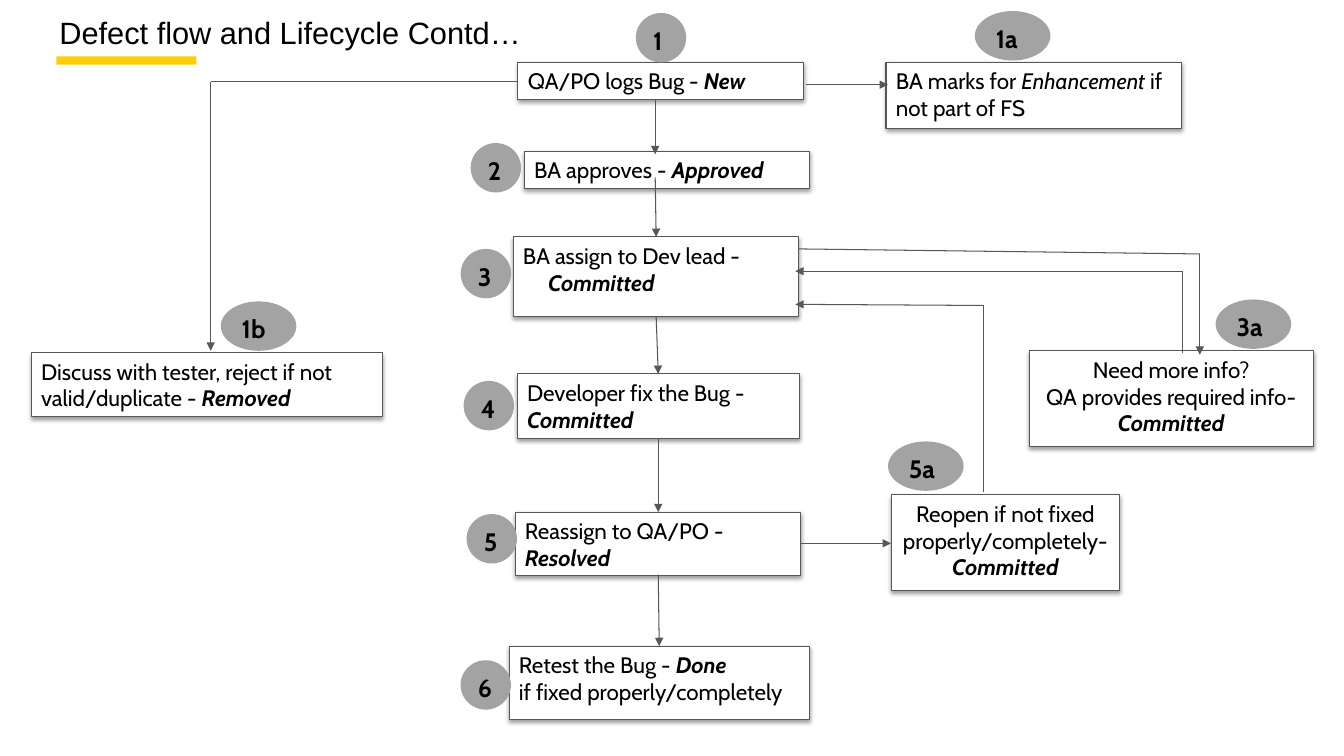
import pptx
import pptx.util
import pptx.dml.color
import pptx.enum.shapes
import pptx.enum.text
import pptx.oxml
import pptx.oxml.ns

Pt = pptx.util.Pt
SHAPE = pptx.enum.shapes.MSO_SHAPE
ALIGN = pptx.enum.text.PP_ALIGN
NS = pptx.oxml.ns.nsdecls("a")

COLORS = {"text": "000000", "box": "FFFFFF", "line": "575757", "badge": "A3A3A3", "accent": "FBCE07"}

FORMATS = {
    "title": {"name": "Arial", "size": Pt(22)},
    "badge": {"name": "Cabin", "size": Pt(18), "bold": True},
    "plain": {"name": "Cabin", "size": Pt(16)},
    "italic": {"name": "Cabin", "size": Pt(16), "italic": True},
    "status": {"name": "Cabin", "size": Pt(16), "bold": True, "italic": True},
}

BADGE_H = 35.3
BADGE_W = {1: 36, 2: 54}

STEPS = [
    ("1", (370, 44.6, 203.8, 26.6), (84.2, -35.3), ALIGN.LEFT, 0,
     [[("QA/PO logs Bug - ", "plain"), ("New", "status")]]),
    ("1a", (632.9, 44.6, 211, 47.5), (63.4, -36.7), ALIGN.LEFT, 0,
     [[("BA marks for ", "plain"), ("Enhancement", "italic"), (" if not part of FS", "plain")]]),
    ("1b", (22.3, 252, 250.6, 45.4), (135.4, -36.7), ALIGN.LEFT, 0,
     [[("Discuss with tester, reject if not valid/duplicate - ", "plain"), ("Removed", "status")]]),
    ("2", (374.4, 108, 203.8, 26.6), (-38.2, -5.8), ALIGN.LEFT, 0,
     [[("BA approves - ", "plain"), ("Approved", "status")]]),
    ("3", (366.5, 169.2, 203.8, 56.9), (-37.4, 8.6), ALIGN.LEFT, 18,
     [[("BA assign to Dev lead - ", "plain"), ("Committed", "status")]]),
    ("3a", (735.1, 250.6, 203, 68.4), (133.2, -36.7), ALIGN.CENTER, 0,
     [[("Need more info?", "plain")],
      [("QA provides required info- ", "plain"), ("Committed", "status")]]),
    ("4", (369.4, 267.1, 201.6, 46.1), (-38.2, 5), ALIGN.LEFT, 0,
     [[("Developer fix the Bug - ", "plain"), ("Committed", "status")]]),
    ("5", (367.9, 365.8, 203.8, 45.4), (-34.6, 1.4), ALIGN.LEFT, 0,
     [[("Reassign to QA/PO - ", "plain"), ("Resolved", "status")]]),
    ("5a", (636.5, 353.5, 163.4, 68.4), (-2.2, -38.2), ALIGN.CENTER, 0,
     [[("Reopen if not fixed properly/completely- ", "plain"), ("Committed", "status")]]),
    ("6", (363.6, 461.5, 214.6, 52.6), (-34.6, 10.1), ALIGN.LEFT, 0,
     [[("Retest the Bug - ", "plain"), ("Done", "status")],
      [("if fixed properly/completely", "plain")]]),
]

FLOWS = [
    [(468, 70.6), (468, 110.2)],
    [(468, 126.7), (468.7, 169.2)],
    [(468.7, 226.1), (470.2, 267.1)],
    [(470.2, 313.2), (470.2, 365.8)],
    [(470.2, 410.4), (470.9, 461.5)],
    [(576, 60.5), (634.3, 60.5)],
    [(370, 58.3), (150.5, 58.3), (150.5, 250.6)],
    [(570.2, 177.8), (857, 181.4), (857, 253.4)],
    [(844.6, 252), (844.6, 193.7), (568.1, 193.7)],
    [(702.7, 351.4), (702.7, 218.2), (568.1, 217.4)],
    [(572.4, 388.1), (636.5, 388.1)],
]


def rgb(key):
    return pptx.dml.color.RGBColor.from_string(COLORS[key])


def add_run(p, text, style):
    r = p.add_run()
    r.text = text
    for name, value in FORMATS[style].items():
        setattr(r.font, name, value)
    r.font.color.rgb = rgb("text")


def add_box(s, kind, box, fill, line=None):
    sp = s.shapes.add_shape(kind, *map(Pt, box))
    sp.shadow.inherit = False
    sp.fill.solid()
    sp.fill.fore_color.rgb = rgb(fill)
    if line:
        sp.line.color.rgb = rgb(line)
        sp.line.width = Pt(0.75)
    else:
        sp.line.fill.background()
    sp.text_frame.vertical_anchor = pptx.enum.text.MSO_ANCHOR.TOP
    sp.text_frame.paragraphs[0].alignment = ALIGN.LEFT
    return sp


def add_shadow(sp):
    effects = sp._element.spPr.find(pptx.oxml.ns.qn("a:effectLst"))
    effects.append(pptx.oxml.parse_xml(
        f'<a:outerShdw {NS} blurRad="{Pt(3.1)}" dist="{Pt(1.6)}" dir="5400000" rotWithShape="0">'
        f'<a:srgbClr val="{COLORS["text"]}"><a:alpha val="38000"/></a:srgbClr></a:outerShdw>'))


def add_title(s, x, y, w, h):
    add_box(s, SHAPE.RECTANGLE, (x - 2.2, y + 30.6, 100, 5.8), "accent")
    tf = s.shapes.add_textbox(*map(Pt, (x, y, w, h))).text_frame
    tf.word_wrap = True
    for side in ("left", "top", "right", "bottom"):
        setattr(tf, f"margin_{side}", 0)
    add_run(tf.paragraphs[0], "Defect flow and Lifecycle Contd…", "title")


def add_step(s, label, box, offset, align, hanging, lines):
    sp = add_box(s, SHAPE.RECTANGLE, box, "box", "line")
    add_shadow(sp)
    tf = sp.text_frame
    for i, line in enumerate(lines):
        p = tf.add_paragraph() if i else tf.paragraphs[0]
        p.alignment = align
        if hanging:
            pPr = p._p.get_or_add_pPr()
            pPr.set("marL", str(Pt(hanging)))
            pPr.set("indent", str(-Pt(hanging)))
        for text, style in line:
            add_run(p, text, style)
    badge = (box[0] + offset[0], box[1] + offset[1], BADGE_W[len(label)], BADGE_H)
    sp = add_box(s, SHAPE.FLOWCHART_CONNECTOR, badge, "badge")
    add_run(sp.text_frame.paragraphs[0], label, "badge")


def add_flow(s, points):
    for start, end in zip(points, points[1:]):
        cx = s.shapes.add_connector(pptx.enum.shapes.MSO_CONNECTOR.STRAIGHT, *map(Pt, start + end))
        cx.line.color.rgb = rgb("line")
        cx.line.width = Pt(0.75)
        cx._element.spPr.append(pptx.oxml.parse_xml(f"<a:effectLst {NS}/>"))
    cx.line._get_or_add_ln().append(pptx.oxml.parse_xml(f'<a:tailEnd {NS} type="triangle"/>'))


def main():
    prs = pptx.Presentation()
    prs.slide_width, prs.slide_height = Pt(960), Pt(540)
    s = prs.slides.add_slide(prs.slide_layouts[6])
    add_title(s, 42.5, 9.7, 659.5, 30)
    for step in STEPS:
        add_step(s, *step)
    for points in FLOWS:
        add_flow(s, points)
    prs.save("out.pptx")


if __name__ == "__main__":
    main()
